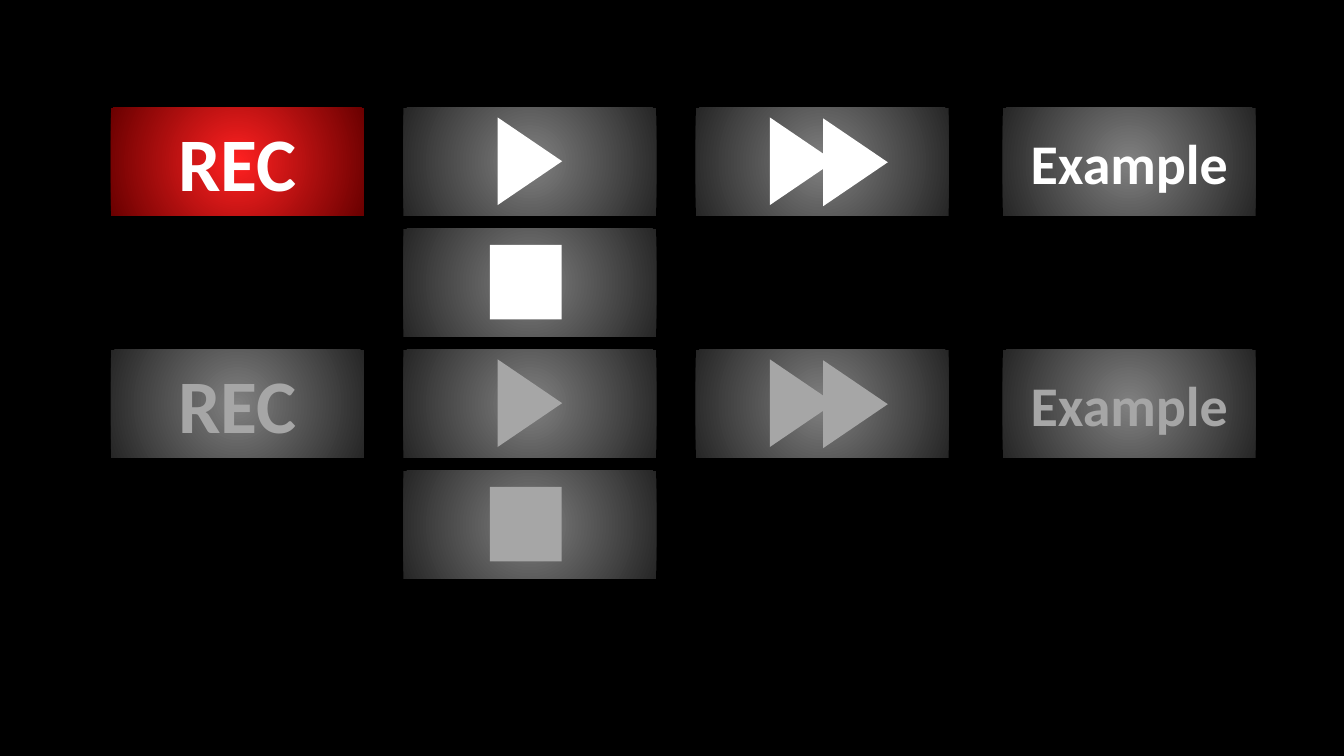
"""Build a slide of recorder buttons in an active and a dimmed state."""
from lxml.etree import fromstring
from pptx import Presentation
from pptx.dml.color import RGBColor
from pptx.enum.shapes import MSO_SHAPE
from pptx.enum.text import MSO_ANCHOR, PP_ALIGN
from pptx.oxml.ns import qn
from pptx.util import Inches, Pt

THEME = {
    "font": "Calibri",
    "background": "000000",
    "active": "FFFFFF",
    "dimmed": "A6A6A6",
    "red": ("FF2121", "6A0000"),
    "grey": ("808080", "262626"),
    "sizes": {"REC": 54, "Example": 40},
}
COLUMNS = {"REC": 1.1, "play": 4, "stop": 4, "forward": 6.9, "Example": 9.945}
ROW_TOP, ROW_STEP = 1.07, 1.2
BUTTON_WIDTH, BUTTON_HEIGHT = 2.51, 1.07
TRIANGLE = (MSO_SHAPE.ISOSCELES_TRIANGLE, 0.87, 0.64, 90)
SQUARE = (MSO_SHAPE.RECTANGLE, 0.71, 0.74, 0)
ICONS = {
    "play": [(0.82, 0.21, TRIANGLE)],
    "stop": [(0.86, 0.16, SQUARE)],
    "forward": [(0.62, 0.21, TRIANGLE), (1.15, 0.22, TRIANGLE)],
}
RADIAL = (
    '<a:path xmlns:a="http://schemas.openxmlformats.org/drawingml/2006/main" path="circle">'
    '<a:fillToRect l="50000" t="50000" r="50000" b="50000"/></a:path>'
)


def add_plain_shape(parent, kind, left, top, width, height):
    shape = parent.shapes.add_shape(kind, Inches(left), Inches(top), Inches(width), Inches(height))
    shape.shadow.inherit = False
    shape.line.fill.background()
    return shape


def add_button(parent, left, top, colors):
    button = add_plain_shape(parent, MSO_SHAPE.RECTANGLE, left, top, BUTTON_WIDTH, BUTTON_HEIGHT)
    button.fill.gradient()
    for stop, color in zip(button.fill.gradient_stops, colors):
        stop.color.rgb = RGBColor.from_string(color)
    gradient = button._element.spPr.find(qn("a:gradFill"))
    gradient.replace(gradient.find(qn("a:lin")), fromstring(RADIAL))
    return button


deck = Presentation()
deck.slide_width, deck.slide_height = Inches(13.33), Inches(7.5)
page = deck.slides.add_slide(deck.slide_layouts[6])
page.background.fill.solid()
page.background.fill.fore_color.rgb = RGBColor.from_string(THEME["background"])

for state, first_row in (("active", 0), ("dimmed", 2)):
    ink = RGBColor.from_string(THEME[state])
    for name, left in COLUMNS.items():
        row = first_row + (name == "stop")
        top = ROW_TOP + row * ROW_STEP
        colors = THEME["red" if (name, state) == ("REC", "active") else "grey"]
        if name in ICONS:
            group = page.shapes.add_group_shape()
            add_button(group, left, top, colors)
            for icon_left, icon_top, (kind, width, height, turn) in ICONS[name]:
                icon = add_plain_shape(group, kind, left + icon_left, top + icon_top, width, height)
                icon.rotation = turn
                icon.fill.solid()
                icon.fill.fore_color.rgb = ink
        else:
            frame = add_button(page, left, top, colors).text_frame
            frame.text = name
            frame.vertical_anchor = MSO_ANCHOR.MIDDLE
            para = frame.paragraphs[0]
            para.alignment = PP_ALIGN.CENTER
            font = para.runs[0].font
            font.name, font.size, font.bold = THEME["font"], Pt(THEME["sizes"][name]), True
            font.color.rgb = ink

deck.save("out.pptx")
